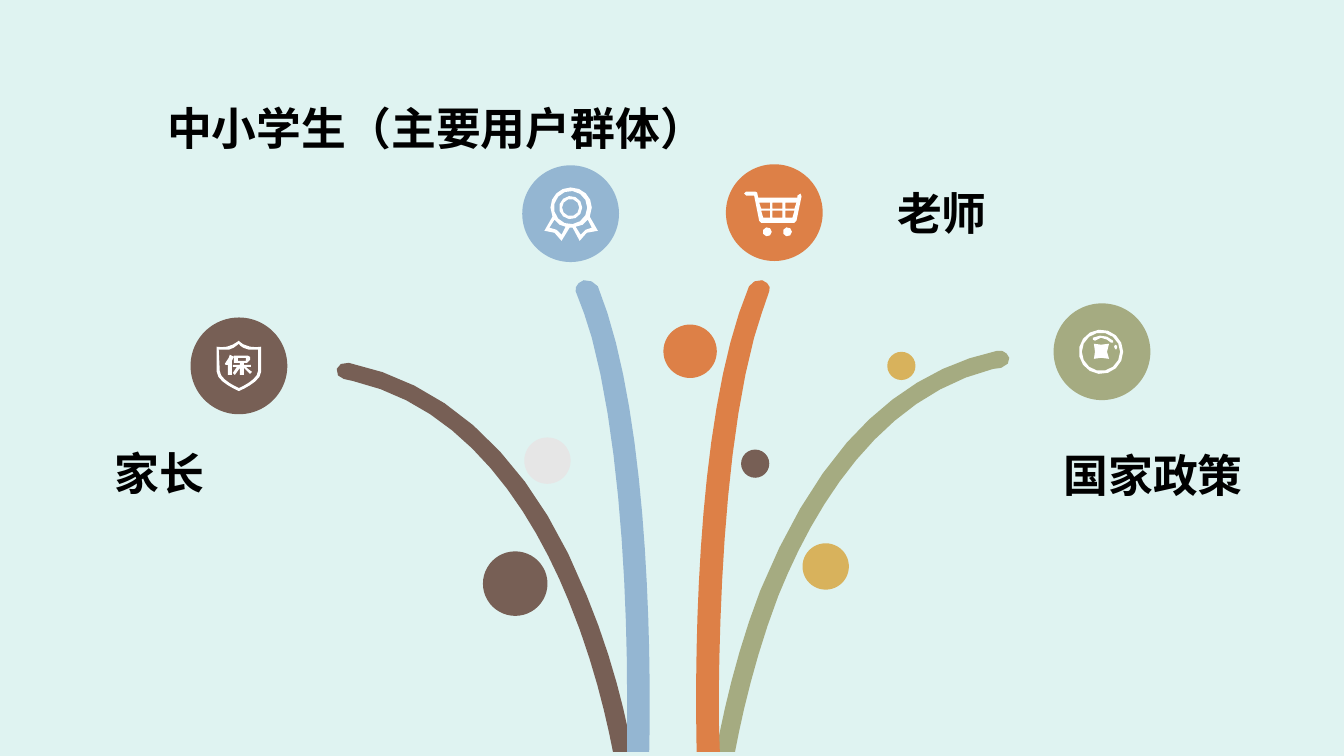
import math

import lxml.etree
import pptx
import pptx.dml.color
import pptx.enum.shapes
import pptx.enum.text
import pptx.oxml.ns
import pptx.util

FONT = "Noto Sans CJK JP"
BROWN, BLUE, ORANGE, GREEN = "775F55", "94B6D2", "DD8047", "A5AB81"
GOLD, GREY, WHITE, MINT = "D8B25C", "E6E6E6", "FFFFFF", "DFF3F1"
BADGE_SIZE = 0.96
TOLERANCE = 0.005  # largest gap in inches between a curve and its chords


def length(inches):
    return pptx.util.Cm(inches * 2.54)


def colour(hex_code):
    return pptx.dml.color.RGBColor.from_string(hex_code)


# Outlines: each function returns a list of (x, y) points in inches
def corners(text):
    numbers = [float(word) for word in text.split()]
    return list(zip(numbers[::2], numbers[1::2]))


def smooth(text):
    """Start point, then two control points and an end point per curve."""
    knots = corners(text)
    points = [knots[0]]
    for first in range(0, len(knots) - 1, 3):
        a, b, c, d = knots[first:first + 4]
        bend = max(math.hypot(p[0] - 2 * q[0] + r[0], p[1] - 2 * q[1] + r[1])
                   for p, q, r in ((a, b, c), (b, c, d)))
        steps = max(1, round(math.sqrt(0.75 * bend / TOLERANCE)))
        for step in range(1, steps + 1):
            t = step / steps
            u = 1 - t
            points.append(tuple(
                u**3 * a[i] + 3 * u * u * t * b[i] + 3 * u * t * t * c[i] + t**3 * d[i]
                for i in (0, 1)))
    return points


def ring(x, y, radius):
    steps = math.ceil(math.pi / math.acos(1 - TOLERANCE / radius))
    angles = [2 * math.pi * step / steps for step in range(steps)]
    return [(x + radius * math.cos(a), y + radius * math.sin(a)) for a in angles]


# Branches, from back to front
def branches():
    return [
        (BROWN, smooth("5.82 5.91 5.59 5.33 5.3 4.85 4.96 4.48 4.53 4.01 4.03 3.72 3.46 3.6 "
                       "3.4 3.59 3.35 3.62 3.34 3.66 3.33 3.71 3.36 3.75 3.41 3.76 "
                       "3.44 3.77 3.47 3.77 3.5 3.78 4.64 4.04 5.29 5.1 5.64 5.96 "
                       "5.88 6.54 6.01 7.1 6.08 7.46")
         + smooth("6.27 7.46 6.21 7.1 6.07 6.51 5.82 5.91")),
        (GREEN, smooth("10.01 3.55 9.99 3.5 9.95 3.47 9.89 3.48 9.33 3.6 8.83 3.9 8.4 4.39 "
                       "8.07 4.77 7.78 5.27 7.54 5.86 7.3 6.48 7.17 7.09 7.1 7.46")
         + smooth("7.29 7.46 7.36 7.09 7.49 6.51 7.72 5.91 8.07 5.04 8.72 3.94 9.85 3.66 "
                  "9.88 3.66 9.91 3.65 9.93 3.65 9.99 3.63 10.02 3.59 10.01 3.55")),
        (BLUE, smooth("5.93 2.84 5.9 2.8 5.84 2.77 5.79 2.78 5.73 2.8 5.7 2.85 5.71 2.89 "
                      "5.77 3.03 5.82 3.18 5.87 3.35 6.15 4.39 6.22 5.9 6.22 6.87 "
                      "6.22 7.1 6.22 7.3 6.22 7.46")
         + smooth("6.44 7.46 6.46 6.51 6.44 4.1 5.93 2.84")),
        (ORANGE, smooth("7.56 2.78 7.51 2.77 7.45 2.8 7.43 2.84 6.9 4.1 6.89 6.51 6.91 7.46")
         + smooth("7.14 7.46 7.13 7.3 7.13 7.1 7.13 6.87 7.14 5.9 7.2 4.39 7.48 3.35 "
                  "7.53 3.18 7.58 3.03 7.63 2.89 7.65 2.85 7.62 2.8 7.56 2.78")),
    ]


# Icons: inner contours cut holes in outer ones
def shield_icon():
    return [
        smooth("2.37 3.38 2.37 3.38 2.31 3.43 2.25 3.44 2.2 3.45 2.15 3.44 2.15 3.44")
        + smooth("2.15 3.69 2.15 3.79 2.37 3.88 2.37 3.88 2.37 3.88 2.59 3.79 2.59 3.69")
        + smooth("2.59 3.44 2.59 3.44 2.54 3.45 2.48 3.44 2.39 3.42 2.37 3.38 2.37 3.38"),
        smooth("2.37 3.41 2.37 3.41 2.38 3.45 2.47 3.47")
        + smooth("2.56 3.47 2.56 3.47 2.56 3.59 2.56 3.68 2.56 3.77 2.37 3.85 2.37 3.85 "
                 "2.37 3.85 2.18 3.77 2.18 3.68")
        + smooth("2.17 3.47 2.17 3.47 2.22 3.47 2.27 3.47 2.32 3.46 2.37 3.41 2.37 3.41"),
        corners("2.32 3.54 2.28 3.52 2.27 3.55 2.23 3.61 2.24 3.62 2.26 3.62 "
                "2.26 3.72 2.3 3.72 2.3 3.58"),
        corners("2.46 3.66 2.44 3.64 2.49 3.64 2.49 3.62 2.42 3.62 2.42 3.6 2.45 3.6 "
                "2.48 3.57 2.48 3.54 2.46 3.53 2.32 3.53 2.32 3.6 2.38 3.6 "
                "2.38 3.62 2.31 3.62 2.31 3.64 2.35 3.64 2.31 3.7 2.33 3.72 "
                "2.38 3.65 2.38 3.72 2.42 3.72 2.42 3.65 2.48 3.71 2.5 3.69"),
        corners("2.36 3.58 2.36 3.55 2.44 3.55 2.44 3.58"),
    ]


def cart_icon():
    return [
        corners("7.94 1.92 7.91 1.94 7.91 1.96 7.52 1.96 7.51 1.91 7.49 1.9 7.4 1.9 "
                "7.38 1.92 7.4 1.94 7.48 1.94 7.53 2.19 7.55 2.21 7.88 2.21 7.9 2.19 "
                "7.95 1.95"),
        corners("7.66 2.07 7.66 2.01 7.76 2.01 7.76 2.07"),
        corners("7.76 2.09 7.76 2.16 7.66 2.16 7.66 2.09"),
        corners("7.79 2.01 7.9 2.01 7.88 2.07 7.79 2.07"),
        corners("7.64 2.01 7.64 2.07 7.55 2.07 7.53 2.01"),
        corners("7.55 2.09 7.64 2.09 7.64 2.16 7.57 2.16"),
        corners("7.86 2.16 7.79 2.16 7.79 2.09 7.88 2.09"),
        ring(7.61, 2.3, 0.045),
        ring(7.81, 2.3, 0.045),
    ]


def medal_icon():
    return [
        smooth("5.85 2.15 5.86 2.12 5.87 2.09 5.87 2.06 5.87 1.95 5.78 1.86 5.66 1.86 "
               "5.55 1.86 5.46 1.95 5.46 2.06 5.46 2.09 5.47 2.12 5.48 2.15")
        + corners("5.4 2.29 5.5 2.31 5.57 2.39 5.65 2.26 5.68 2.26 5.75 2.39 "
                  "5.82 2.31 5.93 2.29"),
        corners("5.57 2.33 5.52 2.28 5.45 2.26 5.5 2.18 5.55 2.23 5.61 2.25"),
        corners("5.81 2.28 5.76 2.33 5.71 2.25 5.78 2.23 5.83 2.18 5.87 2.26"),
    ] + [ring(5.66, 2.06, radius) for radius in (0.165, 0.115, 0.085)]


def coin_icon():
    return [
        ring(10.92, 3.49, 0.22),
        ring(10.92, 3.49, 0.19),
        corners("10.84 3.35 10.91 3.33 10.98 3.34 11.04 3.38 11.04 3.4 11.02 3.4 "
                "10.98 3.37 10.92 3.35 10.86 3.38 10.84 3.37"),
        corners("11.05 3.44 11.06 3.42 11.08 3.43 11.08 3.45 11.07 3.47 11.06 3.46"),
        corners("10.85 3.56 10.92 3.55 11 3.56 10.98 3.49 11 3.41 10.92 3.42 "
                "10.85 3.41 10.86 3.49"),
    ]


# Elements
def paint(shape, fill):
    shape.shadow.inherit = False
    shape.fill.solid()
    shape.fill.fore_color.rgb = colour(fill)
    shape.line.fill.background()


def add_outline(shapes, contours, fill):
    contours = [[(length(x), length(y)) for x, y in contour] for contour in contours]
    builder = shapes.build_freeform(*contours[0][0])
    for index, contour in enumerate(contours):
        if index:
            builder.move_to(*contour[0])
        builder.add_line_segments(contour[1:], close=True)
    paint(builder.convert_to_shape(), fill)


def add_dot(shapes, left, top, size, fill):
    oval = pptx.enum.shapes.MSO_SHAPE.OVAL
    paint(shapes.add_shape(oval, length(left), length(top), length(size), length(size)), fill)


def add_badge(page, left, top, fill, icon):
    group = page.shapes.add_group_shape()
    add_dot(group.shapes, left, top, BADGE_SIZE, fill)
    add_outline(group.shapes, icon, WHITE)


def add_label(page, text, left, top, width, height=0.64, size=32, bold=True, fill="000000"):
    box = page.shapes.add_textbox(length(left), length(top), length(width), length(height))
    box.text_frame.word_wrap = True
    box.text_frame.auto_size = pptx.enum.text.MSO_AUTO_SIZE.SHAPE_TO_FIT_TEXT
    para = box.text_frame.paragraphs[0]
    span = para.add_run()
    span.text = text
    span.font.size = pptx.util.Pt(size)
    span.font.bold = bold
    span.font.color.rgb = colour(fill)
    span.font.name = FONT
    # East Asian typeface
    properties = span._r.get_or_add_rPr()
    lxml.etree.SubElement(properties, pptx.oxml.ns.qn("a:ea"), typeface=FONT)


def main():
    deck = pptx.Presentation()
    deck.slide_width, deck.slide_height = length(13.33), length(7.5)
    page = deck.slides.add_slide(deck.slide_layouts[6])
    page.background.fill.solid()
    page.background.fill.fore_color.rgb = colour(MINT)

    for fill, outline in branches():
        add_outline(page.shapes, [outline], fill)

    add_badge(page, 1.89, 3.15, BROWN, shield_icon())
    add_badge(page, 7.2, 1.63, ORANGE, cart_icon())
    add_badge(page, 5.18, 1.64, BLUE, medal_icon())
    add_badge(page, 10.45, 3.01, GREEN, coin_icon())

    # Loose dots between the branches
    for dot in [(5.2, 4.34, 0.46, GREY), (4.79, 5.47, 0.64, BROWN), (7.35, 4.46, 0.28, BROWN),
                (6.58, 3.22, 0.53, ORANGE), (7.96, 5.39, 0.46, GOLD), (8.8, 3.49, 0.28, GOLD)]:
        add_dot(page.shapes, *dot)

    add_label(page, "中小学生（主要用户群体）", 1.56, 0.95, 5.64)
    add_label(page, "家长", 1.04, 4.37, 1.55)
    add_label(page, "老师", 8.8, 1.79, 1.4)
    add_label(page, "国家政策", 10.45, 4.39, 2.26)
    deck.save("out.pptx")


if __name__ == "__main__":
    main()
